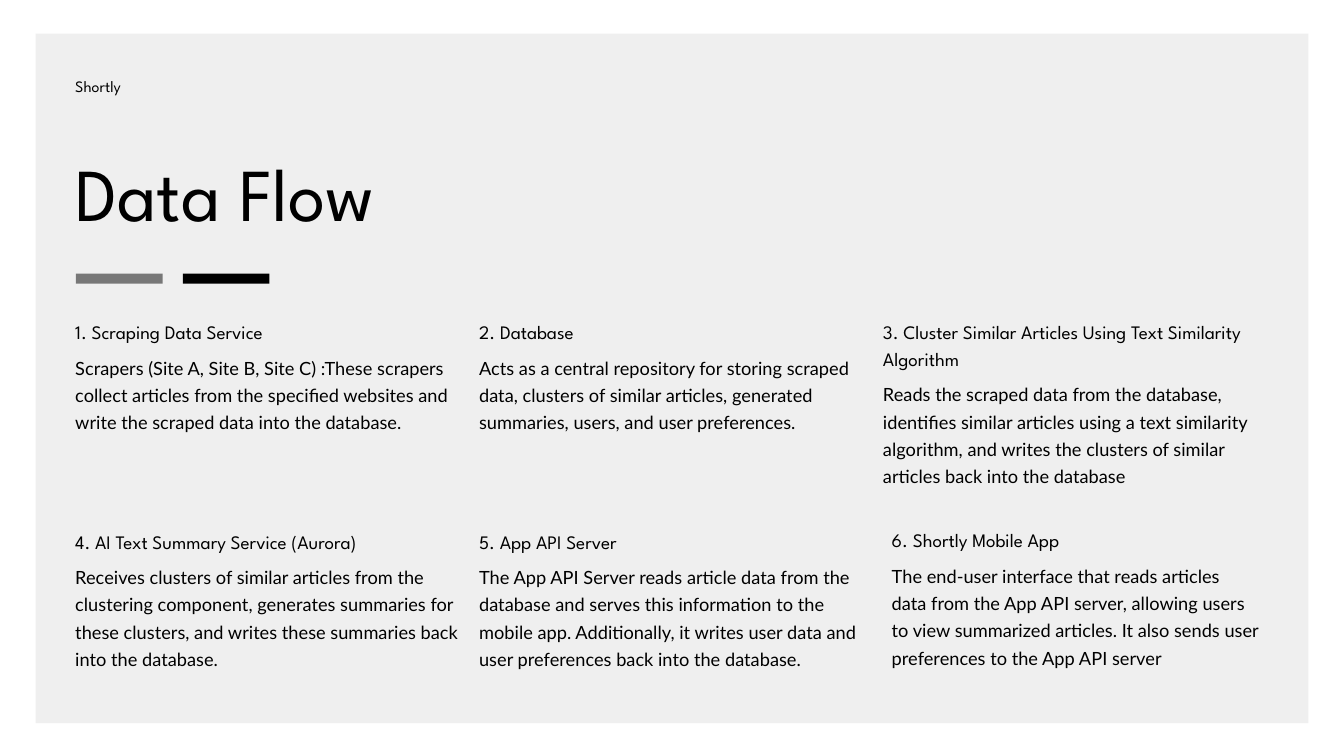
from dataclasses import dataclass

from lxml.etree import SubElement
from pptx import Presentation
from pptx.dml.color import RGBColor
from pptx.enum.shapes import MSO_SHAPE
from pptx.enum.text import MSO_AUTO_SIZE
from pptx.oxml.ns import qn
from pptx.util import Inches, Pt


@dataclass(frozen=True)
class Theme:
    ink: str = "000000"
    panel: str = "EFEFEF"
    display: str = "League Spartan"
    body: str = "Lato"
    title_size: float = 80
    label_size: float = 17
    heading_size: float = 20.4
    body_size: float = 19.5


THEME = Theme()
LEFT = 1.12
COLUMN_STEP = 6.01
COLUMN_WIDTH = 5.73
ROW_TOPS = (4.71, 7.83)
HEADING_LINE = 0.4

# Heading, heading line count, description
STEPS = [
    ("1. Scraping Data Service", 1,
     "Scrapers (Site A, Site B, Site C) :These scrapers collect articles from the "
     "specified websites and write the scraped data into the database."),
    ("2. Database", 1,
     "Acts as a central repository for storing scraped data, clusters of "
     "similar articles, generated summaries, users, and user preferences."),
    ("3. Cluster Similar Articles Using Text Similarity Algorithm", 2,
     "Reads the scraped data from the database, identifies similar articles "
     "using a text similarity algorithm, and writes the clusters of similar "
     "articles back into the database"),
    ("4. AI Text Summary Service (Aurora)", 1,
     "Receives clusters of similar articles from the clustering component, "
     "generates summaries for these clusters, and writes these summaries "
     "back into the database."),
    ("5. App API Server", 1,
     "The App API Server reads article data from the database and serves this "
     "information to the mobile app. Additionally, it writes user data and "
     "user preferences back into the database."),
    ("6. Shortly Mobile App", 1,
     "The end-user interface that reads articles data from the App API server, "
     "allowing users to view summarized articles. It also sends user "
     "preferences to the App API server"),
]


def add_text(s, text, x, y, w, h, *, size, leading, font=THEME.display):
    box = s.shapes.add_textbox(Inches(x), Inches(y), Inches(w), Inches(h))
    tf = box.text_frame
    tf.word_wrap = True
    tf.auto_size = MSO_AUTO_SIZE.SHAPE_TO_FIT_TEXT
    tf.margin_left = tf.margin_top = tf.margin_right = tf.margin_bottom = 0
    p = tf.paragraphs[0]
    p.line_spacing = Pt(leading)
    r = p.add_run()
    r.text = text
    r.font.name = font
    r.font.size = Pt(size)
    r.font.color.rgb = RGBColor.from_string(THEME.ink)


def add_bar(s, x, y, w, h, color, alpha=100):
    sp = s.shapes.add_shape(MSO_SHAPE.RECTANGLE, Inches(x), Inches(y), Inches(w), Inches(h))
    sp.shadow.inherit = False
    sp.fill.solid()
    sp.fill.fore_color.rgb = RGBColor.from_string(color)
    sp.line.fill.background()
    if alpha < 100:
        clr = sp.fill._xPr.find(qn("a:solidFill"))[0]
        SubElement(clr, qn("a:alpha"), val=str(alpha * 1000))


def add_step(s, x, y, w, heading, lines, description):
    add_text(s, heading, x, y, w, HEADING_LINE * lines - 0.03,
             size=THEME.heading_size, leading=28.6)
    add_text(s, description, x, y + 0.12 + HEADING_LINE * lines, w, 2 - HEADING_LINE * (lines - 1),
             size=THEME.body_size, leading=29.2, font=THEME.body)


def main():
    prs = Presentation()
    prs.slide_width, prs.slide_height = Inches(20), Inches(11.25)
    s = prs.slides.add_slide(prs.slide_layouts[6])

    # Panel and accent bars
    add_bar(s, 0.53, 0.5, 18.94, 10.26, THEME.panel)
    add_bar(s, 1.13, 4.07, 1.29, 0.15, THEME.ink, alpha=50)
    add_bar(s, 2.72, 4.07, 1.29, 0.15, THEME.ink)

    # Title and label
    add_text(s, "Data Flow", LEFT, 2.3, 10.02, 1.26, size=THEME.title_size, leading=88)
    add_text(s, "Shortly", LEFT, 1.09, 6.47, 0.31, size=THEME.label_size, leading=23.8)

    # Steps in a grid of three columns; the last one is slightly inset
    for i, step in enumerate(STEPS):
        row, col = divmod(i, 3)
        x, y, w = LEFT + col * COLUMN_STEP, ROW_TOPS[row], COLUMN_WIDTH
        if i == len(STEPS) - 1:
            x, y, w = x + 0.13, y - 0.02, 5.47
        add_step(s, x, y, w, *step)

    prs.save("out.pptx")


if __name__ == "__main__":
    main()
